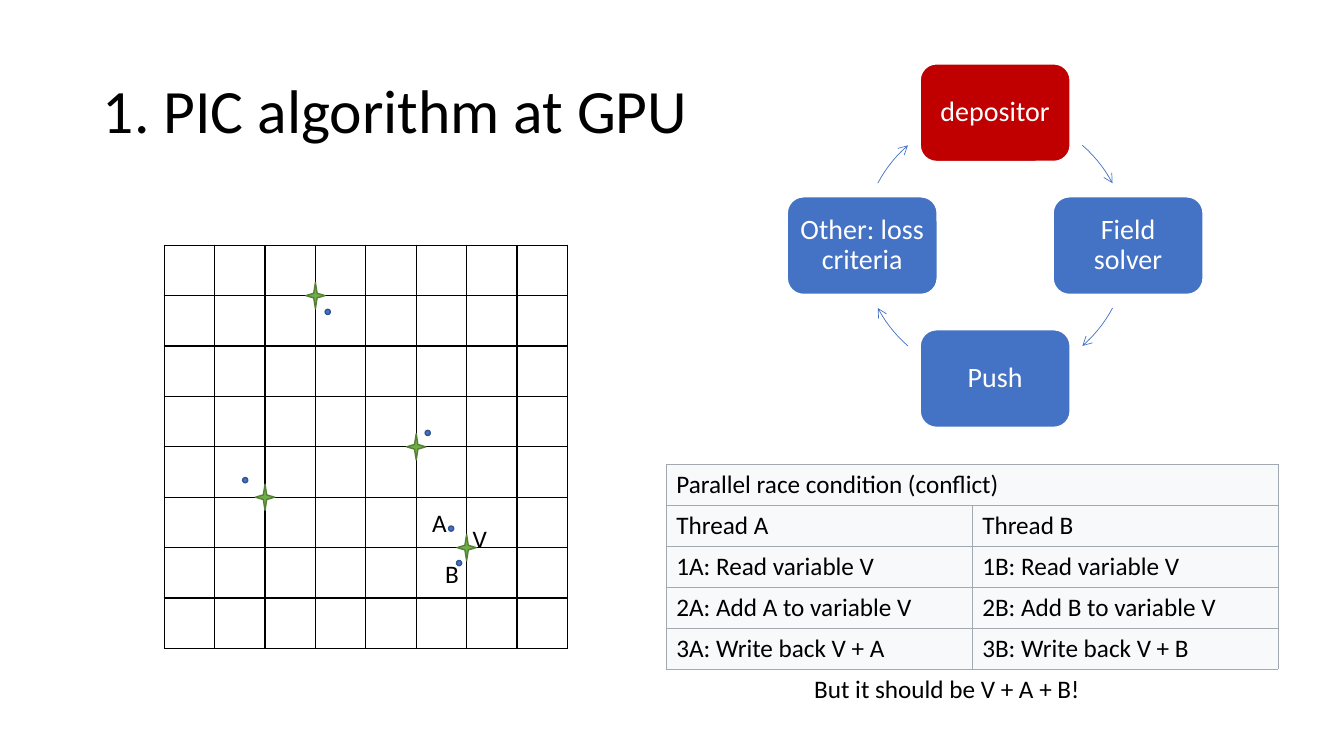
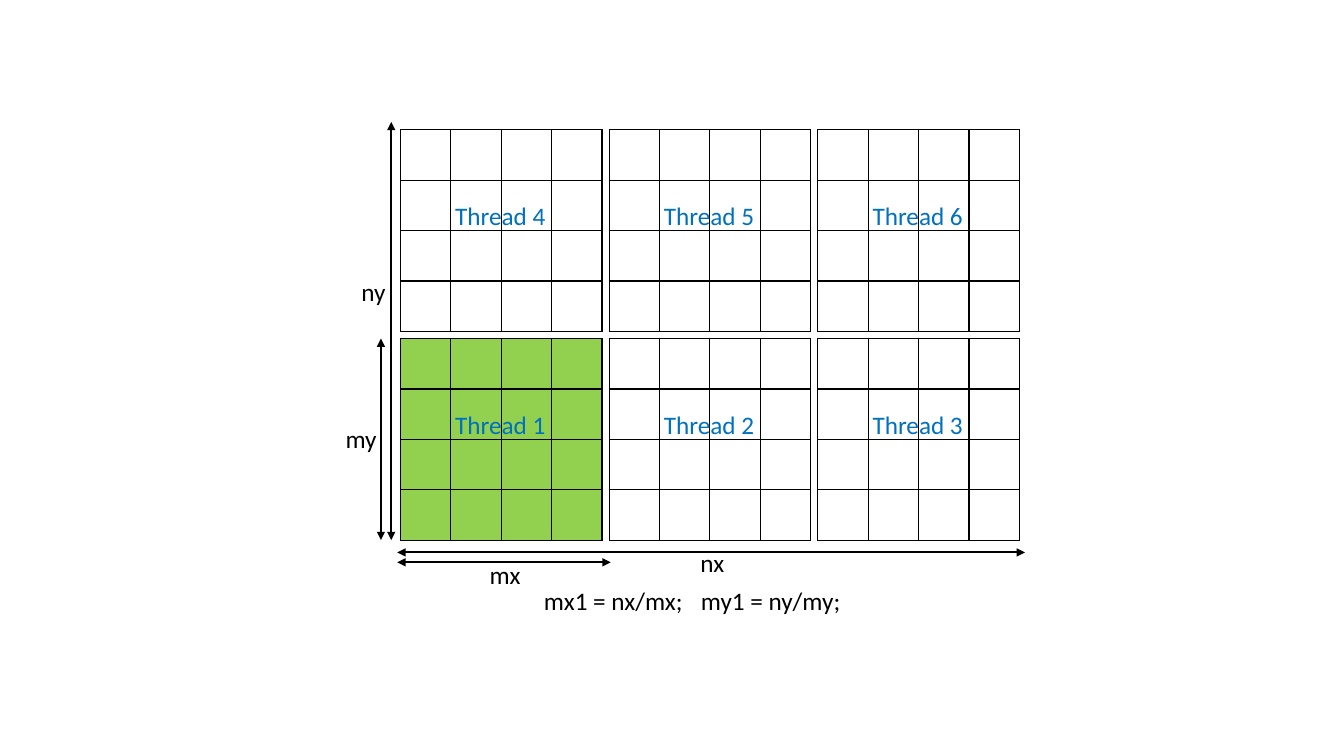
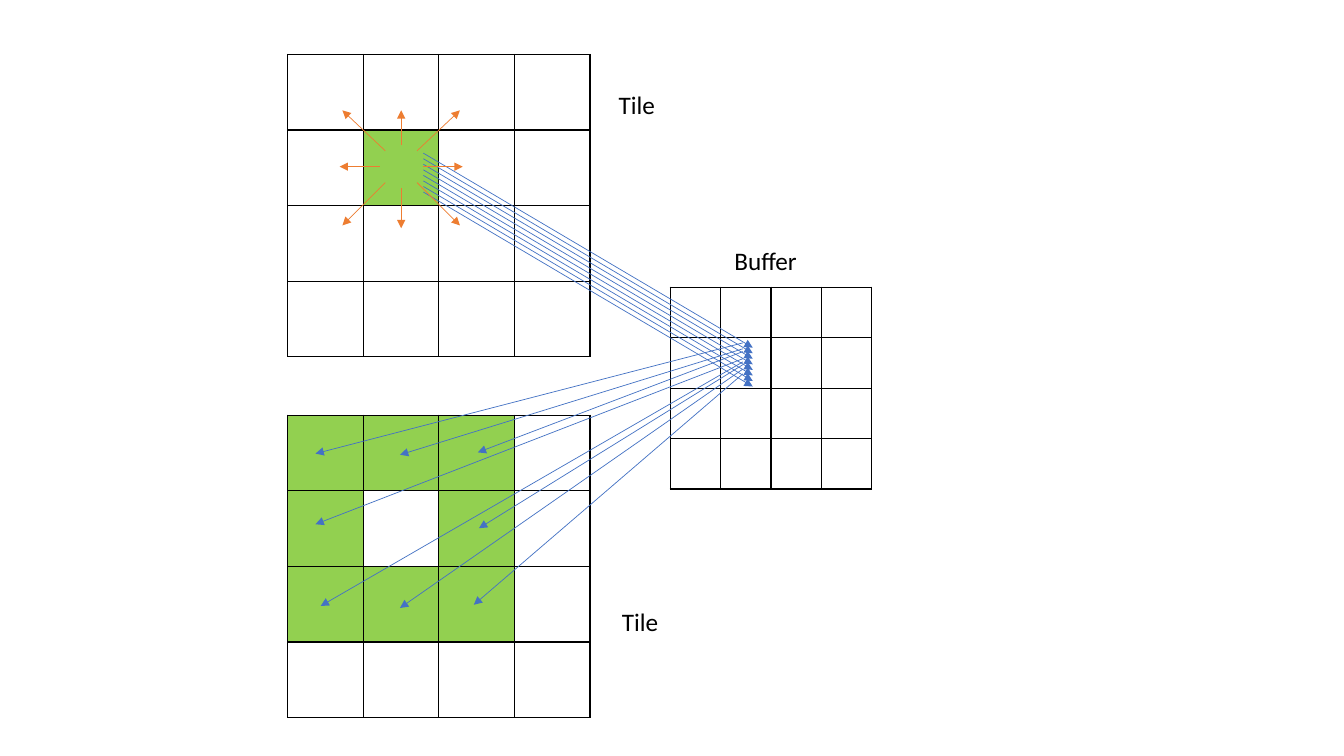
from dataclasses import dataclass
from itertools import product
from math import cos, radians, sin

from lxml.etree import SubElement
from pptx import Presentation
from pptx.dml.color import RGBColor
from pptx.enum.shapes import MSO_CONNECTOR as Conn, MSO_SHAPE as Shape
from pptx.enum.text import MSO_ANCHOR as Anchor, MSO_AUTO_SIZE as AutoSize, PP_ALIGN as Align
from pptx.oxml.ns import qn
from pptx.util import Cm, Pt

# Shared look
FONT = "Calibri"
BLACK = RGBColor(0x00, 0x00, 0x00)
WHITE = RGBColor(0xFF, 0xFF, 0xFF)
BLUE = RGBColor(0x44, 0x72, 0xC4)
DARK_BLUE = RGBColor(0x32, 0x54, 0x91)
LABEL_BLUE = RGBColor(0x00, 0x70, 0xC0)
RED = RGBColor(0xC0, 0x00, 0x00)
ORANGE = RGBColor(0xED, 0x7D, 0x31)
GREEN = RGBColor(0x70, 0xAD, 0x47)
DARK_GREEN = RGBColor(0x53, 0x80, 0x35)
LIME = RGBColor(0x92, 0xD0, 0x50)
PALE = RGBColor(0xF8, 0xF9, 0xFA)
GREY = RGBColor(0xA2, 0xA9, 0xB1)
TITLE_ONLY, BLANK = 5, 6


@dataclass(frozen=True)
class Label:
    text: str
    left: float
    top: float
    width: float
    color: RGBColor = BLACK


@dataclass(frozen=True)
class Grid:
    left: float
    top: float
    size: float
    count: int
    filled: frozenset = frozenset()


@dataclass(frozen=True)
class Arrow:
    x1: float
    y1: float
    x2: float
    y2: float
    color: RGBColor = BLACK
    width: float = 0.5
    both: bool = False


def style_text(p, size: float, color: RGBColor) -> None:
    for r in p.runs:
        r.font.name, r.font.size, r.font.color.rgb = FONT, Pt(size), color


def add_label(slide, label: Label) -> None:
    sp = slide.shapes.add_textbox(Cm(label.left), Cm(label.top), Cm(label.width), Cm(1.03))
    tf = sp.text_frame
    tf.word_wrap = True
    tf.text = label.text
    style_text(tf.paragraphs[0], 18, label.color)


def add_box(slide, kind, left: float, top: float, width: float, height: float,
            fill: RGBColor, outline: RGBColor):
    sp = slide.shapes.add_shape(kind, Cm(left), Cm(top), Cm(width), Cm(height))
    sp.shadow.inherit = False
    sp.fill.solid()
    sp.fill.fore_color.rgb = fill
    sp.line.color.rgb = outline
    sp.line.width = Pt(1)
    return sp


def add_ends(sp, kind: str, both: bool = False) -> None:
    ln = sp._element.spPr.find(qn("a:ln"))
    for tag in ("a:headEnd", "a:tailEnd") if both else ("a:tailEnd",):
        SubElement(ln, qn(tag), type=kind)


def add_arrow(slide, arrow: Arrow) -> None:
    line = slide.shapes.add_connector(
        Conn.STRAIGHT, Cm(arrow.x1), Cm(arrow.y1), Cm(arrow.x2), Cm(arrow.y2))
    line.line.color.rgb = arrow.color
    line.line.width = Pt(arrow.width)
    add_ends(line, "triangle", arrow.both)
    SubElement(line._element.spPr, qn("a:effectLst"))


def add_borders(cell, color: RGBColor, width: float) -> None:
    tc_pr = cell._tc.get_or_add_tcPr()
    for side in ("a:lnL", "a:lnR", "a:lnT", "a:lnB"):
        ln = SubElement(tc_pr, qn(side), w=str(Pt(width)))
        SubElement(SubElement(ln, qn("a:solidFill")), qn("a:srgbClr"), val=str(color))


def add_plain_table(slide, rows: int, cols: int, left: float, top: float,
                    width: float, height: float, border: RGBColor, border_width: float):
    table = slide.shapes.add_table(
        rows, cols, Cm(left), Cm(top), Cm(width), Cm(height)).table
    table.first_row = table.horz_banding = False
    for cell in table.iter_cells():
        add_borders(cell, border, border_width)
        cell.fill.background()
    return table


def add_grid(slide, grid: Grid) -> None:
    table = add_plain_table(slide, grid.count, grid.count, grid.left, grid.top,
                            grid.size, grid.size, BLACK, 1)
    for row, col in grid.filled:
        fill = table.cell(row, col).fill
        fill.solid()
        fill.fore_color.rgb = LIME


# Slide 1
def add_title(slide, text: str) -> None:
    sp = slide.shapes.title
    sp.left, sp.top, sp.width, sp.height = Cm(2.34), Cm(1.02), Cm(29.21), Cm(3.68)
    tf = sp.text_frame
    tf.text = text
    tf.auto_size = AutoSize.NONE
    tf.vertical_anchor = Anchor.MIDDLE
    p = tf.paragraphs[0]
    p.alignment, p.line_spacing = Align.LEFT, 0.9
    style_text(p, 44, BLACK)


def add_cycle(slide, steps: list[str]) -> None:
    cx, cy, radius, width, height = 25.08, 6.19, 3.35, 3.78, 2.46

    def on_circle(angle: float) -> tuple[float, float]:
        return cx + radius * sin(radians(angle)), cy - radius * cos(radians(angle))

    for i, step in enumerate(steps):
        # Step box
        x, y = on_circle(90 * i)
        sp = add_box(slide, Shape.ROUNDED_RECTANGLE, x - width / 2, y - height / 2,
                     width, height, BLUE if i else RED, WHITE)
        tf = sp.text_frame
        tf.word_wrap = True
        tf.vertical_anchor = Anchor.MIDDLE
        tf.margin_left = tf.margin_right = tf.margin_top = tf.margin_bottom = Cm(0.18)
        tf.text = step
        p = tf.paragraphs[0]
        p.alignment, p.line_spacing = Align.CENTER, 0.9
        style_text(p, 20, WHITE)

        # Arc to the next step
        start = 90 * i + (28 if i % 2 else 41)
        points = [tuple(map(Cm, on_circle(start + step_angle))) for step_angle in range(0, 22, 3)]
        builder = slide.shapes.build_freeform(*points[0])
        builder.add_line_segments(points[1:], close=False)
        arc = builder.convert_to_shape()
        arc.shadow.inherit = False
        arc.fill.background()
        arc.line.color.rgb = BLUE
        arc.line.width = Pt(0.5)
        add_ends(arc, "arrow")


def add_race_table(slide) -> None:
    rows = [
        ("Parallel race condition (conflict)", ""),
        ("Thread A", "Thread B"),
        ("1A: Read variable V", "1B: Read variable V"),
        ("2A: Add A to variable V", "2B: Add B to variable V"),
        ("3A: Write back V + A", "3B: Write back V + B"),
    ]
    table = add_plain_table(slide, len(rows), 2, 16.79, 11.71, 15.42, 5.15, GREY, 0.6)
    table.cell(0, 0).merge(table.cell(0, 1))
    for (i, row), j in product(enumerate(rows), range(2)):
        cell = table.cell(i, j)
        cell.fill.solid()
        cell.fill.fore_color.rgb = PALE
        cell.vertical_anchor = Anchor.MIDDLE
        if row[j]:
            cell.text_frame.text = row[j]
            style_text(cell.text_frame.paragraphs[0], 18, BLACK)


def add_particles(slide) -> None:
    field = Grid(4.14, 6.18, 10.16, 8)
    add_grid(slide, field)
    dot = 0.13
    for x, y in [(11.37, 13.32), (11.57, 14.19), (10.78, 10.91), (6.18, 12.1), (8.26, 7.86)]:
        add_box(slide, Shape.OVAL, x - dot / 2, y - dot / 2, dot, dot, BLUE, DARK_BLUE)
    # Stars sit on grid nodes
    cell, width, height = field.size / field.count, 0.48, 0.66
    for col, row in [(6, 6), (2, 5), (5, 4), (3, 1)]:
        add_box(slide, Shape.STAR_4_POINT, field.left + col * cell - width / 2,
                field.top + row * cell - height / 2, width, height, GREEN, DARK_GREEN)
    for label in [Label("V", 11.66, 13.06, 1.02), Label("B", 10.97, 13.94, 1.02),
                  Label("A", 10.64, 12.67, 1.02)]:
        add_label(slide, label)


def build_algorithm(prs) -> None:
    slide = prs.slides.add_slide(prs.slide_layouts[TITLE_ONLY])
    add_title(slide, "1. PIC algorithm at GPU")
    add_cycle(slide, ["depositor", "Field solver", "Push", "Other: loss criteria"])
    add_race_table(slide)
    add_particles(slide)
    add_label(slide, Label("But it should be V + A + B!", 20.27, 16.84, 8.84))


# Slide 2
def build_threads(prs) -> None:
    slide = prs.slides.add_slide(prs.slide_layouts[BLANK])
    left, top, size, pitch = 10.09, 3.27, 5.08, 5.26
    all_cells = frozenset(product(range(4), repeat=2))
    for row, col in product(range(2), range(3)):
        x, y = left + col * pitch, top + row * pitch
        number = col + 1 + 3 * (1 - row)
        add_grid(slide, Grid(x, y, size, 4, all_cells if number == 1 else frozenset()))
        add_label(slide, Label(f"Thread {number}", x + 1.13, y + 1.66, 3.15, LABEL_BLUE))

    # Dimension arrows: nx, mx, ny, my
    for ends in [(10.01, 13.92, 25.83, 13.92), (10.01, 14.17, 15.39, 14.17),
                 (9.86, 3.07, 9.86, 13.61), (9.6, 8.53, 9.6, 13.61)]:
        add_arrow(slide, Arrow(*ends, width=1.5, both=True))
    for label in [Label("my", 8.46, 10.54, 1.63), Label("nx", 17.4, 13.67, 1.22),
                  Label("mx", 12.09, 13.97, 1.63), Label("ny", 8.86, 6.83, 1.22),
                  Label("mx1 = nx/mx;\t my1 = ny/my;", 13.46, 14.63, 9.7)]:
        add_label(slide, label)


# Slide 3
def build_buffer(prs) -> None:
    slide = prs.slides.add_slide(prs.slide_layouts[BLANK])
    ring = frozenset(product(range(3), repeat=2)) - {(1, 1)}
    for grid in [Grid(7.25, 1.37, 7.62, 4, frozenset({(1, 1)})),
                 Grid(16.89, 7.24, 5.08, 4),
                 Grid(7.25, 10.46, 7.62, 4, ring)]:
        add_grid(slide, grid)

    # Tile to buffer
    for i in range(8):
        shift = 0.14 * i
        add_arrow(slide, Arrow(10.67, 3.86 + shift, 18.97, 8.76 + shift, BLUE))

    # Buffer to the neighbouring cells of the tile
    for y, x2, y2 in [(8.64, 7.95, 11.43), (8.79, 10.08, 11.46), (8.86, 12.04, 11.4),
                      (9.04, 7.95, 13.21), (9.19, 12.07, 13.31), (9.42, 11.94, 15.24),
                      (9.3, 10.08, 15.32), (9.12, 8.08, 15.27)]:
        add_arrow(slide, Arrow(18.72, y, x2, y2, BLUE))

    # Particles leaving the cell in eight directions
    cx, cy = 10.11, 4.2
    for dx, dy in product((-1, 0, 1), repeat=2):
        if dx or dy:
            near, far = (0.4, 1.48) if dx and dy else (0.54, 1.55)
            reach = 1.42 if dy < 0 else far
            add_arrow(slide, Arrow(cx + dx * near, cy + dy * near,
                                   cx + dx * far, cy + dy * reach, ORANGE))

    for label in [Label("Tile", 15.34, 2.13, 3.63), Label("Tile", 15.42, 15.16, 3.63),
                  Label("Buffer", 18.26, 6.05, 2.36)]:
        add_label(slide, label)


def main() -> None:
    prs = Presentation()
    prs.slide_width, prs.slide_height = Cm(33.87), Cm(19.05)
    build_algorithm(prs)
    build_threads(prs)
    build_buffer(prs)
    prs.save("out.pptx")


if __name__ == "__main__":
    main()
